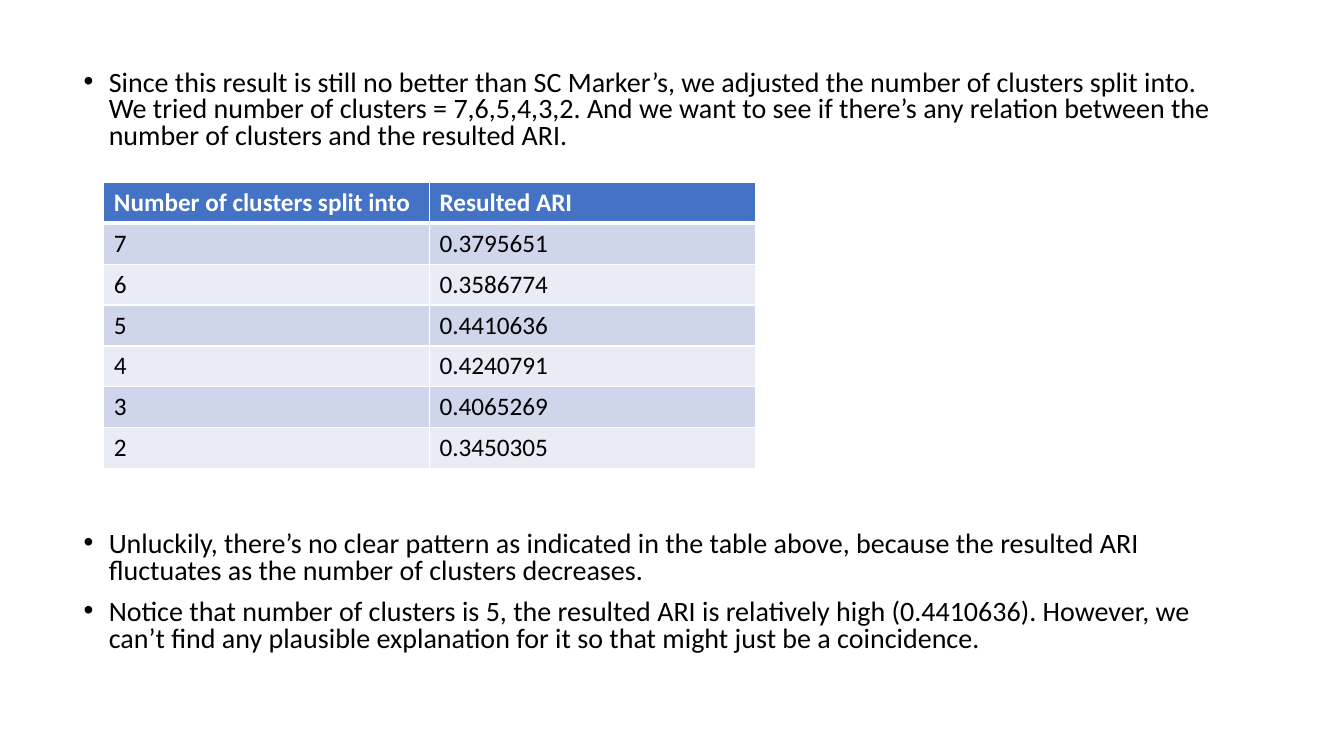
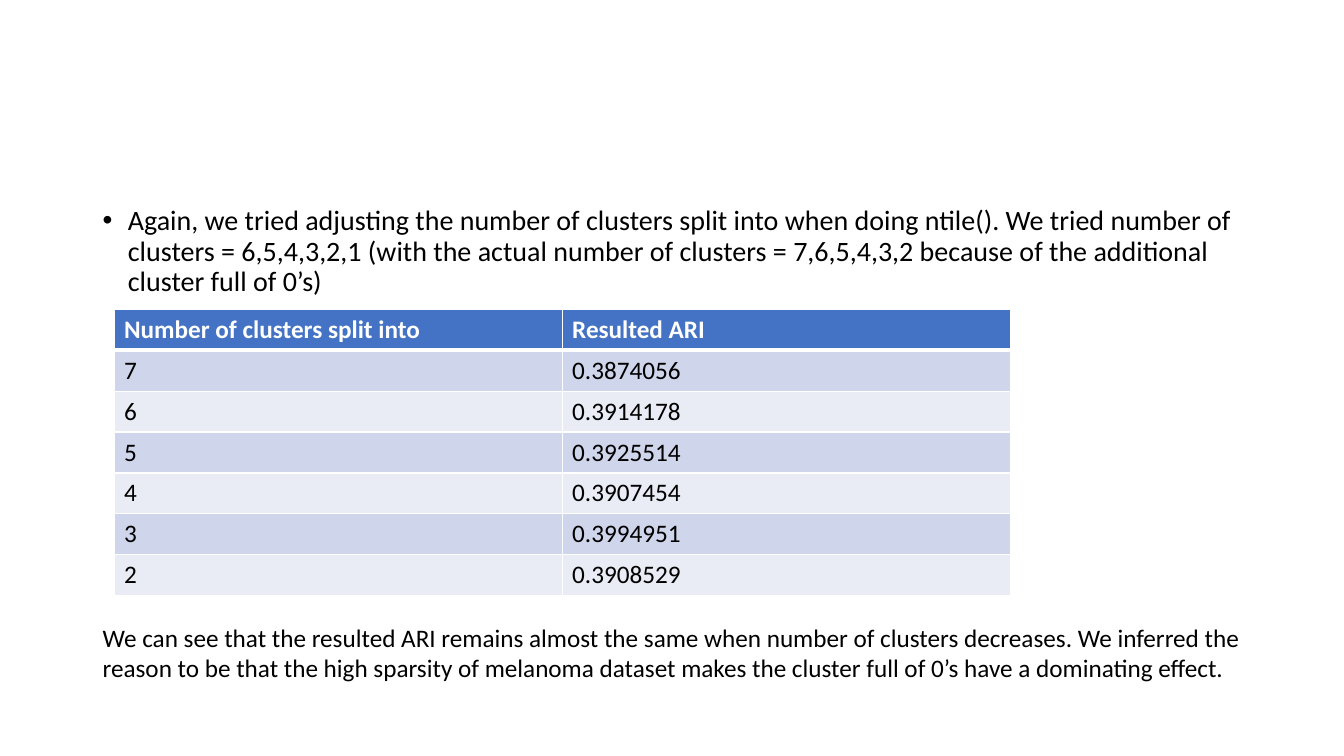
from dataclasses import dataclass

from lxml import etree
from pptx import Presentation
from pptx import util as u
from pptx.dml.color import RGBColor
from pptx.enum import text
from pptx.oxml.ns import qn

# Shared look
FONT = "Calibri"
HUES = {"ink": "000000", "paper": "FFFFFF", "head": "4472C4",
        "odd": "CFD5EA", "even": "E9EBF5"}
WIDE, HIGH = u.Inches(13.33), u.Inches(7.5)
HEADS = ("Number of clusters split into", "Resulted ARI")
SIZES = (7, 6, 5, 4, 3, 2)


@dataclass
class Area:
    """A frame, in percent of the slide's width and height."""
    left: float
    top: float
    width: float
    height: float

    def place(self) -> tuple[int, int, int, int]:
        return (int(WIDE * self.left / 100), int(HIGH * self.top / 100),
                int(WIDE * self.width / 100), int(HIGH * self.height / 100))


@dataclass
class Block:
    area: Area
    lines: tuple[str, ...]
    size: int = 20
    space: float = 1.0
    bullet: bool = True


@dataclass
class Grid:
    area: Area
    scores: tuple[str, ...]


@dataclass
class Page:
    blocks: tuple[Block, ...]
    grid: Grid


def add_run(para, words: str, size: int, hue: str = "ink", bold: bool = False) -> None:
    run = para.add_run()
    run.text = words
    font = run.font
    font.name, font.size, font.bold = FONT, u.Pt(size), bold
    font.color.rgb = RGBColor.from_string(HUES[hue])


def add_bullet(para) -> None:
    props = para._p.get_or_add_pPr()
    props.set("marL", str(u.Inches(0.25)))
    props.set("indent", str(-u.Inches(0.25)))
    etree.SubElement(props, qn("a:buFont"), typeface="Arial")
    etree.SubElement(props, qn("a:buChar"), char="•")


def add_block(slide, block: Block) -> None:
    frame = slide.shapes.add_textbox(*block.area.place()).text_frame
    frame.word_wrap = block.bullet
    frame.auto_size = text.MSO_AUTO_SIZE.NONE
    for i, words in enumerate(block.lines):
        para = frame.add_paragraph() if i else frame.paragraphs[0]
        para.line_spacing = block.space
        if block.bullet:
            para.space_before = u.Pt(10)
            add_bullet(para)
        add_run(para, words, block.size)


def add_edges(cell, top: int, base: int) -> None:
    props = cell._tc.get_or_add_tcPr()
    for side, width in (("L", 1), ("R", 1), ("T", top), ("B", base)):
        line = etree.SubElement(props, qn(f"a:ln{side}"), w=str(u.Pt(width)))
        fill = etree.SubElement(line, qn("a:solidFill"))
        etree.SubElement(fill, qn("a:srgbClr"), val=HUES["paper"])


def add_grid(slide, grid: Grid) -> None:
    rows = [HEADS, *((str(n), score) for n, score in zip(SIZES, grid.scores))]
    table = slide.shapes.add_table(len(rows), len(HEADS), *grid.area.place()).table
    for r, row in enumerate(rows):
        head = r == 0
        hue = "head" if head else "odd" if r % 2 else "even"
        for c, words in enumerate(row):
            cell = table.cell(r, c)
            # A thick rule parts the header from the rows
            add_edges(cell, top=3 if r == 1 else 1, base=3 if head else 1)
            cell.fill.solid()
            cell.fill.fore_color.rgb = RGBColor.from_string(HUES[hue])
            add_run(cell.text_frame.paragraphs[0], words, 18,
                    "paper" if head else "ink", head)


PAGES = (
    # Splitting into fewer clusters
    Page((
        Block(Area(5.48, 8.67, 86.27, 14.67), (
            "Since this result is still no better than SC Marker’s, we adjusted the "
            "number of clusters split into. We tried number of clusters = 7,6,5,4,3,2. "
            "And we want to see if there’s any relation between the number of clusters "
            "and the resulted ARI.",), space=0.8),
        Block(Area(5.48, 69.73, 86.27, 20), (
            "Unluckily, there’s no clear pattern as indicated in the table above, "
            "because the resulted ARI fluctuates as the number of clusters decreases.",
            "Notice that number of clusters is 5, the resulted ARI is relatively high "
            "(0.4410636). However, we can’t find any plausible explanation for it so "
            "that might just be a coincidence."), space=0.8),
    ), Grid(Area(7.73, 24.13, 48.46, 37.87), (
        "0.3795651", "0.3586774", "0.4410636", "0.4240791", "0.4065269", "0.3450305"))),
    # Splitting with ntile()
    Page((
        Block(Area(6.9, 26.67, 86.27, 14), (
            "Again, we tried adjusting the number of clusters split into when doing "
            "ntile(). We tried number of clusters = 6,5,4,3,2,1 (with the actual number "
            "of clusters = 7,6,5,4,3,2 because of the additional cluster full of 0’s)",),
            space=0.9),
        Block(Area(6.9, 81.6, 87.17, 9.47), (
            "We can see that the resulted ARI remains almost the same when number of "
            "clusters decreases. We inferred the",
            "reason to be that the high sparsity of melanoma dataset makes the cluster "
            "full of 0’s have a dominating effect."), size=18, bullet=False),
    ), Grid(Area(8.48, 40.93, 66.69, 37.87), (
        "0.3874056", "0.3914178", "0.3925514", "0.3907454", "0.3994951", "0.3908529"))),
)


def main() -> None:
    deck = Presentation()
    deck.slide_width, deck.slide_height = WIDE, HIGH
    for page in PAGES:
        slide = deck.slides.add_slide(deck.slide_layouts[6])
        for block in page.blocks:
            add_block(slide, block)
        add_grid(slide, page.grid)
    deck.save("out.pptx")


if __name__ == "__main__":
    main()
